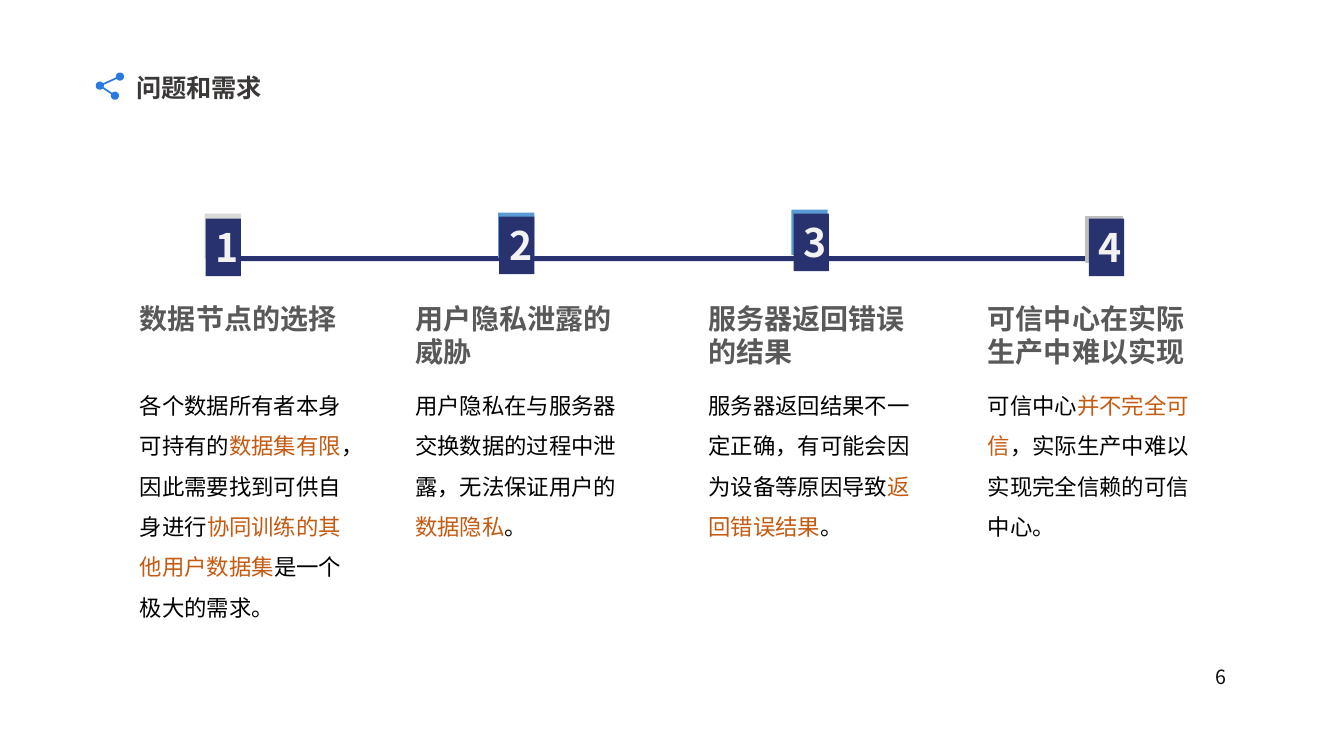
from dataclasses import dataclass
from math import cos, radians, sin

from lxml.etree import SubElement
from pptx import Presentation
from pptx.dml.color import RGBColor
from pptx.enum.lang import MSO_LANGUAGE_ID as Language
from pptx.enum.shapes import MSO_SHAPE as Shape
from pptx.enum.text import MSO_ANCHOR as Anchor, MSO_AUTO_SIZE as AutoSize, PP_ALIGN as Align
from pptx.oxml.ns import qn
from pptx.util import Pt

PX = 9144  # 100 px to the inch
FONT = "Noto Sans CJK SC"
BADGE_FONT = "Noto Sans CJK JP"
NAVY, BLUE, ICON_BLUE = "28326F", "5B9BD5", "2979E3"
LIGHT_GREY, GREY = "D9D9D9", "BFBFBF"
BLACK, ORANGE, HEADING_GREY = "000000", "C55A11", "595959"
TITLE_GREY, BADGE_TEXT, NUMBER_TEXT = "3B3838", "F2F2F2", "0D0D0D"


@dataclass
class Step:
    badge: tuple  # left, top
    shade: tuple  # left, top
    shade_color: str
    shade_outline: bool
    text_left: int
    heading: str
    heading_height: int
    body: tuple  # plain and emphasised parts in turn
    body_height: int


STEPS = [
    Step((204, 217), (203, 212), LIGHT_GREY, False, 129, "数据节点的选择", 44,
         ("各个数据所有者本身可持有的", "数据集有限", "，因此需要找到可供自身进行",
          "协同训练的其他用户数据集", "是一个极大的需求。"), 248),
    Step((495, 215), (494, 211), BLUE, False, 402, "用户隐私泄露的威胁", 77,
         ("用户隐私在与服务器交换数据的过程中泄露，无法保证用户的", "数据隐私", "。"), 167),
    Step((787, 212), (785, 208), BLUE, False, 693, "服务器返回错误的结果", 77,
         ("服务器返回结果不一定正确，有可能会因为设备等原因导致", "返回错误结果", "。"), 167),
    Step((1080, 217), (1077, 215), GREY, True, 970, "可信中心在实际生产中难以实现", 77,
         ("可信中心", "并不完全可信", "，实际生产中难以实现完全信赖的可信中心。"), 167),
]


def rgb(color):
    return RGBColor.from_string(color)


def emu(*lengths):
    return [length * PX for length in lengths]


def add_run(paragraph, text, size, color, bold=False, font_name=FONT):
    run = paragraph.add_run()
    run.text = text
    font = run.font
    font.size, font.bold, font.name = Pt(size), bold, font_name
    font.color.rgb = rgb(color)
    font.language_id = Language.SIMPLIFIED_CHINESE
    SubElement(font._element, qn("a:ea"), typeface=font_name)


def paint(shape, color, outline=False):
    shape.shadow.inherit = False
    shape.fill.solid()
    shape.fill.fore_color.rgb = rgb(color)
    if outline:
        shape.line.color.rgb = rgb(color)
        shape.line.width = Pt(1)
    else:
        shape.line.fill.background()


def add_rectangle(slide, box, color, outline=False):
    shape = slide.shapes.add_shape(Shape.RECTANGLE, *emu(*box))
    paint(shape, color, outline)
    return shape


def first_paragraph(shape, anchor=Anchor.TOP, align=Align.LEFT, wrap=True, grow=True):
    """Set up the shape's text frame and return its paragraph."""
    frame = shape.text_frame
    frame.word_wrap = wrap
    frame.auto_size = AutoSize.SHAPE_TO_FIT_TEXT if grow else AutoSize.NONE
    frame.vertical_anchor = anchor
    paragraph = frame.paragraphs[0]
    paragraph.alignment = align
    return paragraph


def add_text_box(slide, box, **layout):
    return first_paragraph(slide.shapes.add_textbox(*emu(*box)), **layout)


def add_title(slide, text):
    title = slide.shapes.title
    title.left, title.top, title.width, title.height = emu(125, 67, 146, 40)
    paragraph = first_paragraph(title, wrap=False)
    add_run(paragraph, text, 18, TITLE_GREY, bold=True)


def add_share_icon(slide):
    """Draw three linked dots as one outline made of arcs."""
    top, left, bottom = (119, 76), (99, 85), (114, 95)
    arcs = [(top, 168, 504), (left, -12, 22), (bottom, 226, 562), (left, 46, 324)]
    radius, steps, detail = 4, 24, 100
    points = []
    for (x, y), start, end in arcs:
        for step in range(steps + 1):
            angle = radians(start + (end - start) * step / steps)
            points.append(((x + radius * cos(angle)) * detail,
                           (y + radius * sin(angle)) * detail))
    builder = slide.shapes.build_freeform(*points[0], scale=PX / detail)
    builder.add_line_segments(points[1:], close=True)
    paint(builder.convert_to_shape(), ICON_BLUE)


def add_badge(slide, number, step):
    add_rectangle(slide, (*step.shade, 36, 45), step.shade_color, step.shade_outline)
    badge = add_rectangle(slide, (*step.badge, 35, 57), NAVY)
    add_run(first_paragraph(badge), str(number), 28, BADGE_TEXT, True, BADGE_FONT)


def add_step_text(slide, step):
    heading = add_text_box(slide, (step.text_left, 294, 220, step.heading_height))
    add_run(heading, step.heading, 20, HEADING_GREY, bold=True)
    body = add_text_box(slide, (step.text_left, 371, 220, step.body_height))
    body.line_spacing = 1.5
    for index, part in enumerate(step.body):
        add_run(body, part, 16, ORANGE if index % 2 else BLACK)


def main():
    presentation = Presentation()
    presentation.slide_width, presentation.slide_height = emu(1333, 750)
    slide = presentation.slides.add_slide(presentation.slide_layouts[5])

    add_title(slide, "问题和需求")
    add_share_icon(slide)
    add_rectangle(slide, (215, 254, 888, 5), NAVY)
    for number, step in enumerate(STEPS, 1):
        add_badge(slide, number, step)
        add_step_text(slide, step)
    page_number = add_text_box(slide, (931, 654, 295, 35), anchor=Anchor.MIDDLE,
                               align=Align.RIGHT, grow=False)
    add_run(page_number, "6", 14, NUMBER_TEXT)

    presentation.save("out.pptx")


if __name__ == "__main__":
    main()
